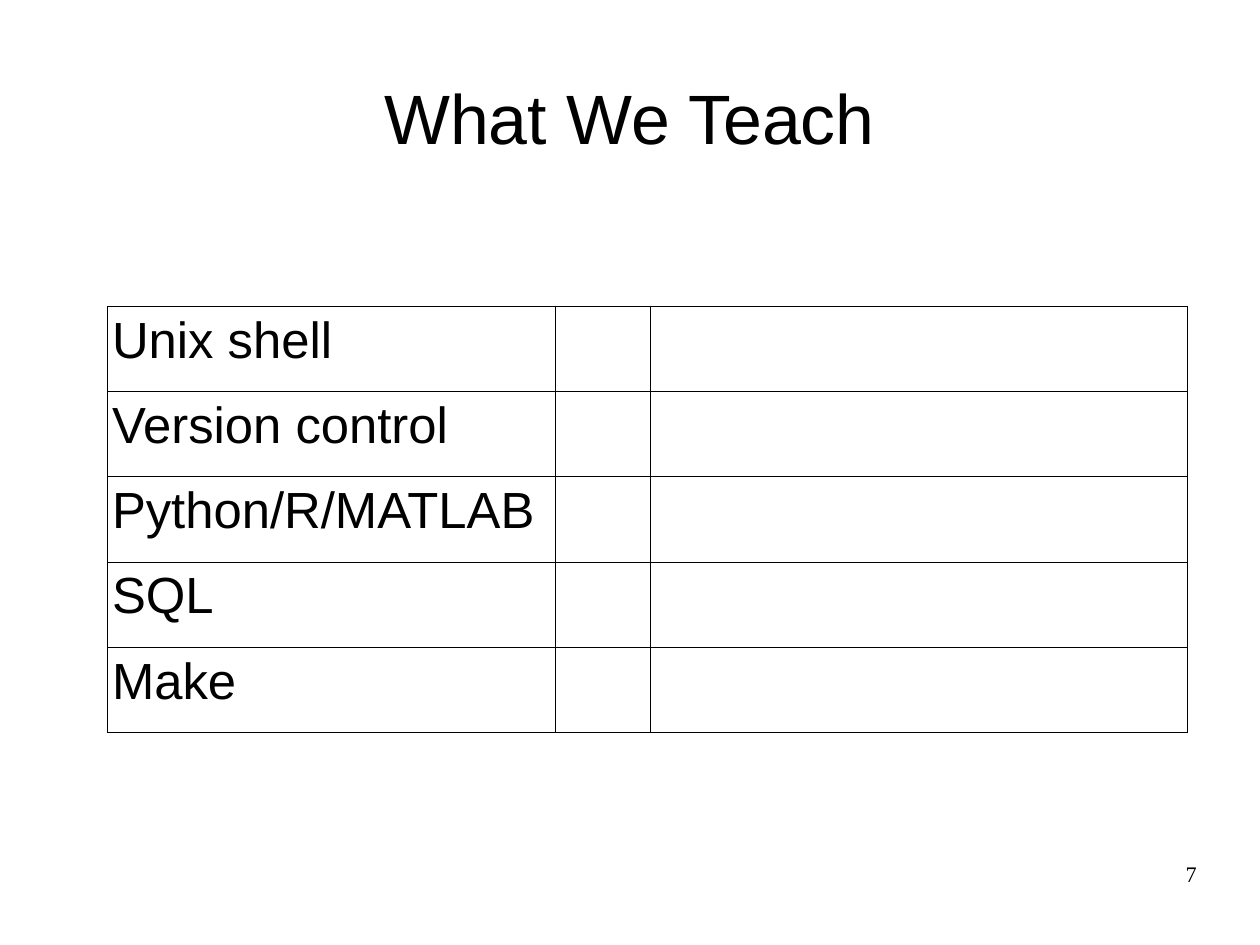
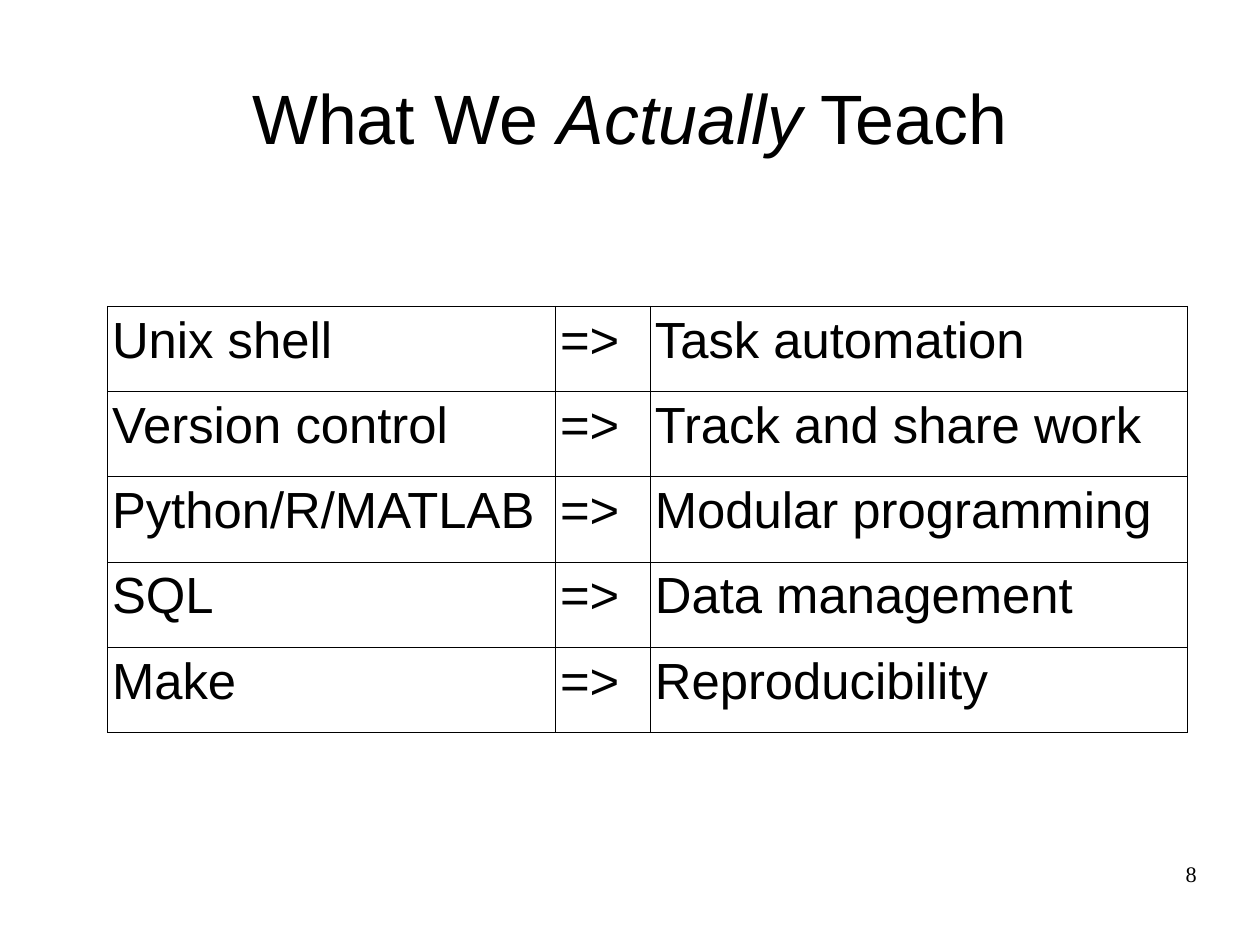
from dataclasses import dataclass

from lxml import etree
from pptx import Presentation
from pptx import util as u
from pptx.dml.color import RGBColor
from pptx.enum import text
from pptx.oxml.ns import qn


@dataclass(frozen=True)
class Theme:
    ink: str = "000000"
    paper: str = "FFFFFF"
    font: str = "Arial"
    number_font: str = "Times New Roman"
    title_size: float = 44
    table_size: float = 32
    number_size: float = 14
    border: float = 0.57


THEME = Theme()

# Boxes: left, top, width, height in inches
TITLE_BOX = (0.55, 0.33, 9.92, 1.38)
TABLE_BOX = (0.94, 2.68, 9.45, 3.73)
NUMBER_BOX = (7.9, 7.53, 2.57, 0.57)
COLUMN_WIDTHS = (3.92, 0.83, 4.7)

ARROW = "=>"
LESSONS = [
    ("Unix shell", "Task automation"),
    ("Version control", "Track and share work"),
    ("Python/R/MATLAB", "Modular programming"),
    ("SQL", "Data management"),
    ("Make", "Reproducibility"),
]


def inches(box):
    return [u.Inches(length) for length in box]


def style_font(font, size, name=THEME.font):
    font.size = u.Pt(size)
    font.name = name
    font.color.rgb = RGBColor.from_string(THEME.ink)


def set_margins(item, side=0, end=0):
    item.margin_left = item.margin_right = u.Inches(side)
    item.margin_top = item.margin_bottom = u.Inches(end)


def place_title(slide, box, parts):
    """Parts are pairs of wording and whether it is italic."""
    title = slide.shapes.title
    title.left, title.top, title.width, title.height = inches(box)
    frame = title.text_frame
    set_margins(frame)
    frame.word_wrap = True
    frame.auto_size = text.MSO_AUTO_SIZE.NONE
    frame.vertical_anchor = text.MSO_ANCHOR.MIDDLE
    para = frame.paragraphs[0]
    para.alignment = text.PP_ALIGN.CENTER
    for wording, italic in parts:
        span = para.add_run()
        span.text = wording
        style_font(span.font, THEME.title_size)
        span.font.italic = italic


def add_borders(cell):
    properties = cell._tc.get_or_add_tcPr()
    for side in ("lnL", "lnR", "lnT", "lnB"):
        line = etree.SubElement(properties, qn(f"a:{side}"), w=str(u.Pt(THEME.border)))
        fill = etree.SubElement(line, qn("a:solidFill"))
        etree.SubElement(fill, qn("a:srgbClr"), val=THEME.ink)


def place_table(slide, box, rows):
    left, top, width, height = inches(box)
    table = slide.shapes.add_table(
        len(rows), len(COLUMN_WIDTHS), left, top, width, height).table
    table.first_row = table.horz_banding = False
    for column, column_width in zip(table.columns, COLUMN_WIDTHS):
        column.width = u.Inches(column_width)
    for row, wordings in zip(table.rows, rows):
        row.height = height // len(rows)
        for cell, wording in zip(row.cells, wordings):
            set_margins(cell, 0.04, 0.05)
            add_borders(cell)
            cell.fill.background()
            if wording:
                cell.text_frame.text = wording
                style_font(cell.text_frame.paragraphs[0].runs[0].font, THEME.table_size)


def place_number(slide, box, number):
    frame = slide.shapes.add_textbox(*inches(box)).text_frame
    set_margins(frame)
    frame.word_wrap = True
    frame.text = str(number)
    para = frame.paragraphs[0]
    para.alignment = text.PP_ALIGN.RIGHT
    style_font(para.runs[0].font, THEME.number_size, THEME.number_font)


def add_lesson_slide(deck, number, title_parts, rows):
    slide = deck.slides.add_slide(deck.slide_layouts.get_by_name("Title Only"))
    place_title(slide, TITLE_BOX, title_parts)
    place_table(slide, TABLE_BOX, rows)
    place_number(slide, NUMBER_BOX, number)


def main():
    deck = Presentation()
    # The page is metric: 28 by 21 cm
    deck.slide_width = u.Cm(28)
    deck.slide_height = u.Cm(21)
    background = deck.slide_master.background.fill
    background.solid()
    background.fore_color.rgb = RGBColor.from_string(THEME.paper)

    # Topics alone, then topics with what they stand for
    add_lesson_slide(deck, 7, [("What We Teach", False)],
                     [(topic, "", "") for topic, _ in LESSONS])
    add_lesson_slide(deck, 8,
                     [("What We ", False), ("Actually", True), (" Teach", False)],
                     [(topic, ARROW, skill) for topic, skill in LESSONS])
    deck.save("out.pptx")


if __name__ == "__main__":
    main()
